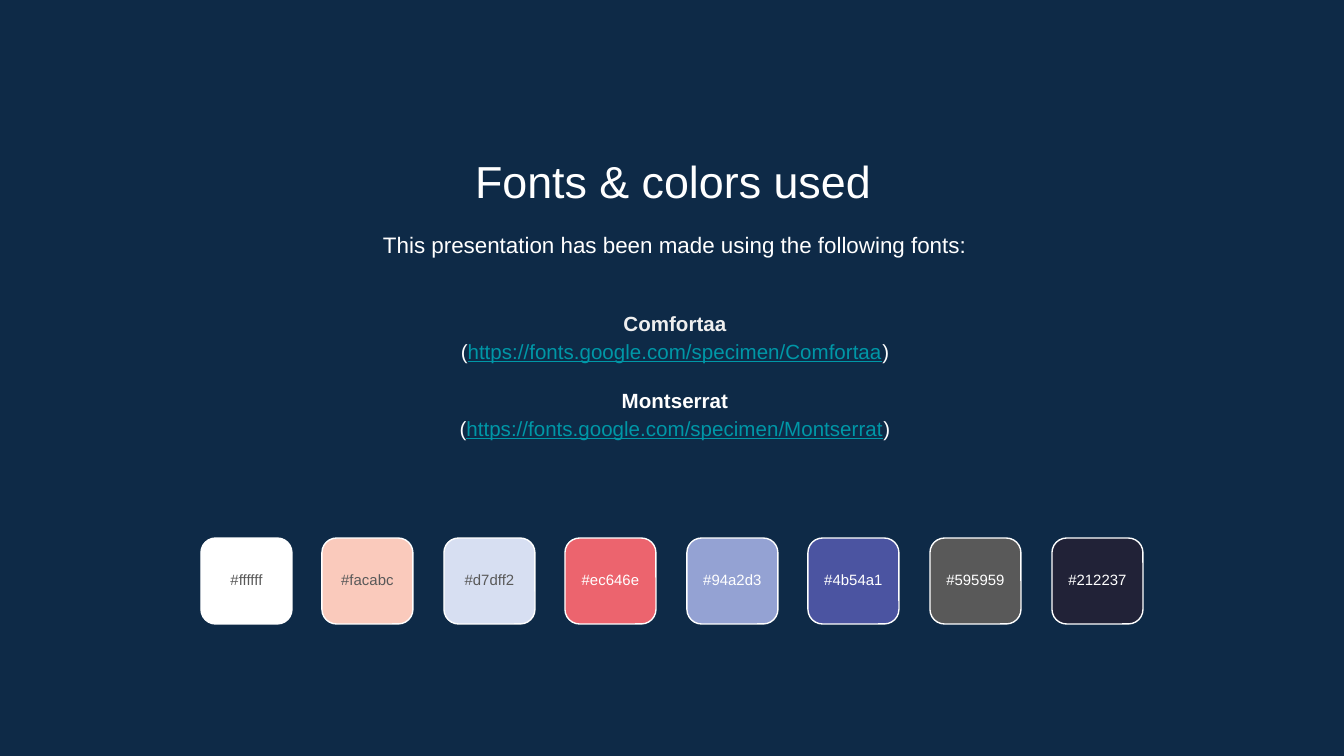
from lxml import etree
from pptx import Presentation
from pptx import util as u
from pptx.dml.color import RGBColor
from pptx.enum import shapes, text
from pptx.oxml.ns import qn

PX = 914400 / 134.4
NAVY = RGBColor(0x0E, 0x2A, 0x47)
WHITE = RGBColor(0xFF, 0xFF, 0xFF)
PALE = RGBColor(0xEF, 0xEF, 0xEF)
GRAY = RGBColor(0x59, 0x59, 0x59)
TEAL = RGBColor(0x00, 0x97, 0xA7)


def px(*nums):
    return [u.Emu(round(n * PX)) for n in nums]


def write(shape, paras, size, space=1, anchor=text.MSO_ANCHOR.TOP):
    """Fill a shape with (gap before, runs) pairs; a run is (words, colour, bold)."""
    frame = shape.text_frame
    frame.word_wrap = True
    frame.auto_size = text.MSO_AUTO_SIZE.NONE
    frame.vertical_anchor = anchor
    frame.margin_left = frame.margin_right = u.Inches(0.1)
    frame.margin_top = frame.margin_bottom = u.Inches(0.1)
    for i, (gap, runs) in enumerate(paras):
        para = frame.add_paragraph() if i else frame.paragraphs[0]
        props = para._p.get_or_add_pPr()
        props.set("marL", "0")
        props.set("indent", "0")
        etree.SubElement(props, qn("a:buNone"))
        para.alignment = text.PP_ALIGN.CENTER
        para.line_spacing = space
        para.space_before = u.Pt(gap)
        para.space_after = u.Pt(0)
        for words, color, bold in runs:
            run = para.add_run()
            run.text = words
            font = run.font
            font.name, font.size, font.bold = "Arial", u.Pt(size), bold
            font.color.rgb = color
            font.underline = color == TEAL


deck = Presentation()
deck.slide_width, deck.slide_height = px(1344, 756)
slide = deck.slides.add_slide(deck.slide_layouts[3])
slide.background.fill.solid()
slide.background.fill.fore_color.rgb = NAVY

# Title, intro and font list
title, intro, fonts = slide.placeholders
places = [(title, 155, 140, 71), (intro, 157, 214, 65), (fonts, 157, 282, 184)]
for box, left, top, high in places:
    box.left, box.top, box.width, box.height = px(left, top, 1036, high)

write(title, [(0, [("Fonts & colors used", WHITE, False)])], size=24)
hint = "This presentation has been made using the following fonts:"
write(intro, [(0, [(hint, WHITE, False)])], size=12, space=1.15)

paras = []
for name, color, gap in [("Comfortaa", PALE, 0), ("Montserrat", WHITE, 11)]:
    link = "https://fonts.google.com/specimen/" + name
    paras.append((gap, [(name, color, True)]))
    paras.append((0, [("(", WHITE, False), (link, TEAL, False), (")", WHITE, False)]))
write(fonts, paras, size=11, space=1.15, anchor=text.MSO_ANCHOR.MIDDLE)

# Row of colour swatches with their codes
codes = ["ffffff", "facabc", "d7dff2", "ec646e", "94a2d3", "4b54a1", "595959", "212237"]
for i, code in enumerate(codes):
    left = 201 + i * 851 // 7
    tile = slide.shapes.add_shape(shapes.MSO_SHAPE.ROUNDED_RECTANGLE, *px(left, 538, 91, 86))
    tile.adjustments[0] = 0.17
    tile.shadow.inherit = False
    tile.fill.solid()
    tile.fill.fore_color.rgb = RGBColor.from_string(code.upper())
    tile.line.color.rgb = WHITE
    tile.line.width = u.Pt(0.75)
    label = slide.shapes.add_textbox(*px(left, 555, 91, 50))
    ink = GRAY if i < 3 else WHITE
    write(label, [(0, [("#" + code, ink, False)])], size=8, anchor=text.MSO_ANCHOR.MIDDLE)

deck.save("out.pptx")
